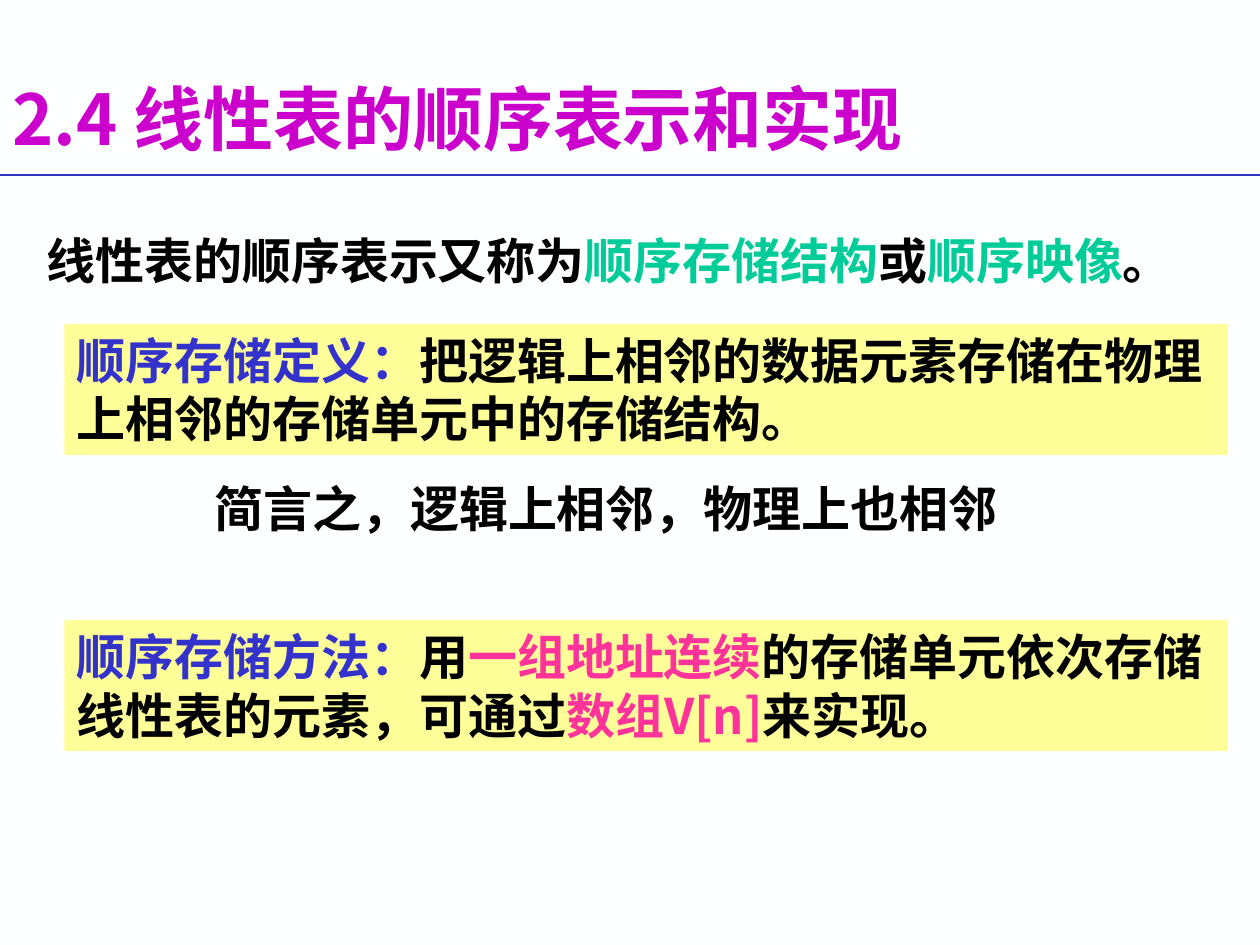
from dataclasses import dataclass
from typing import Optional

from lxml.etree import SubElement
from pptx import Presentation
from pptx.dml.color import RGBColor
from pptx.enum.shapes import MSO_CONNECTOR, MSO_SHAPE
from pptx.enum.text import MSO_ANCHOR, PP_ALIGN
from pptx.oxml.ns import qn
from pptx.util import Cm, Pt

FONT = "Noto Sans CJK SC"
BLACK, BLUE, GREEN, PINK = "000000", "3333CC", "00CC99", "FF3399"
PURPLE, YELLOW, WHITE = "CC00CC", "FFFF99", "FEFFFF"
WIDTH, HEIGHT = 25.4, 19.05


@dataclass
class TextBlock:
    left: float
    top: float
    width: float
    height: float
    pieces: list[tuple[str, str]]
    size: int = 28
    fill: Optional[str] = None
    align: PP_ALIGN = PP_ALIGN.LEFT
    anchor: MSO_ANCHOR = MSO_ANCHOR.TOP


BLOCKS = [
    TextBlock(0, 1.42, 21.82, 1.9, [("2.4 线性表的顺序表示和实现", PURPLE)],
              size=40, anchor=MSO_ANCHOR.MIDDLE),
    TextBlock(0.69, 4.52, 23.44, 1.45, [
        ("线性表的顺序表示又称为", BLACK), ("顺序存储结构", GREEN),
        ("或", BLACK), ("顺序映像", GREEN), ("。", BLACK)]),
    TextBlock(1.3, 6.53, 23.44, 2.64, [
        ("顺序存储定义：", BLUE),
        ("把逻辑上相邻的数据元素存储在物理上相邻的存储单元中的存储结构。", BLACK)],
        fill=YELLOW),
    TextBlock(2.64, 9.52, 19.15, 1.45,
              [("简言之，逻辑上相邻，物理上也相邻", BLACK)], align=PP_ALIGN.CENTER),
    TextBlock(1.3, 12.5, 23.44, 2.64, [
        ("顺序存储方法：", BLUE), ("用", BLACK), ("一组地址连续", PINK),
        ("的存储单元依次存储线性表的元素，可通过", BLACK),
        ("数组V[n]", PINK), ("来实现。", BLACK)],
        fill=YELLOW),
]


def color(value: str) -> RGBColor:
    return RGBColor.from_string(value)


def add_block(slide, block: TextBlock) -> None:
    place = [Cm(n) for n in (block.left, block.top, block.width, block.height)]
    if block.fill:
        box = slide.shapes.add_shape(MSO_SHAPE.RECTANGLE, *place)
        box.shadow.inherit = False
        box.fill.solid()
        box.fill.fore_color.rgb = color(block.fill)
        box.line.fill.background()
    else:
        box = slide.shapes.add_textbox(*place)
    frame = box.text_frame
    frame.word_wrap = True
    frame.vertical_anchor = block.anchor
    para = frame.paragraphs[0]
    para.alignment = block.align
    for text, text_color in block.pieces:
        span = para.add_run()
        span.text = text
        span.font.size = Pt(block.size)
        span.font.bold = True
        span.font.color.rgb = color(text_color)
        span.font.name = FONT
        SubElement(span.font._element, qn("a:ea"), typeface=FONT)


def add_rule(slide, top: float) -> None:
    """Draw the full-width line under the title."""
    rule = slide.shapes.add_connector(
        MSO_CONNECTOR.STRAIGHT, Cm(0), Cm(top), Cm(WIDTH), Cm(top))
    rule.line.color.rgb = color(BLUE)
    rule.line.width = Pt(1)
    SubElement(rule._element.spPr, qn("a:effectLst"))


def main() -> None:
    deck = Presentation()
    deck.slide_width, deck.slide_height = Cm(WIDTH), Cm(HEIGHT)
    page = deck.slides.add_slide(deck.slide_layouts[6])
    page.background.fill.solid()
    page.background.fill.fore_color.rgb = color(WHITE)
    add_rule(page, 3.53)
    for block in BLOCKS:
        add_block(page, block)
    deck.save("out.pptx")


if __name__ == "__main__":
    main()
